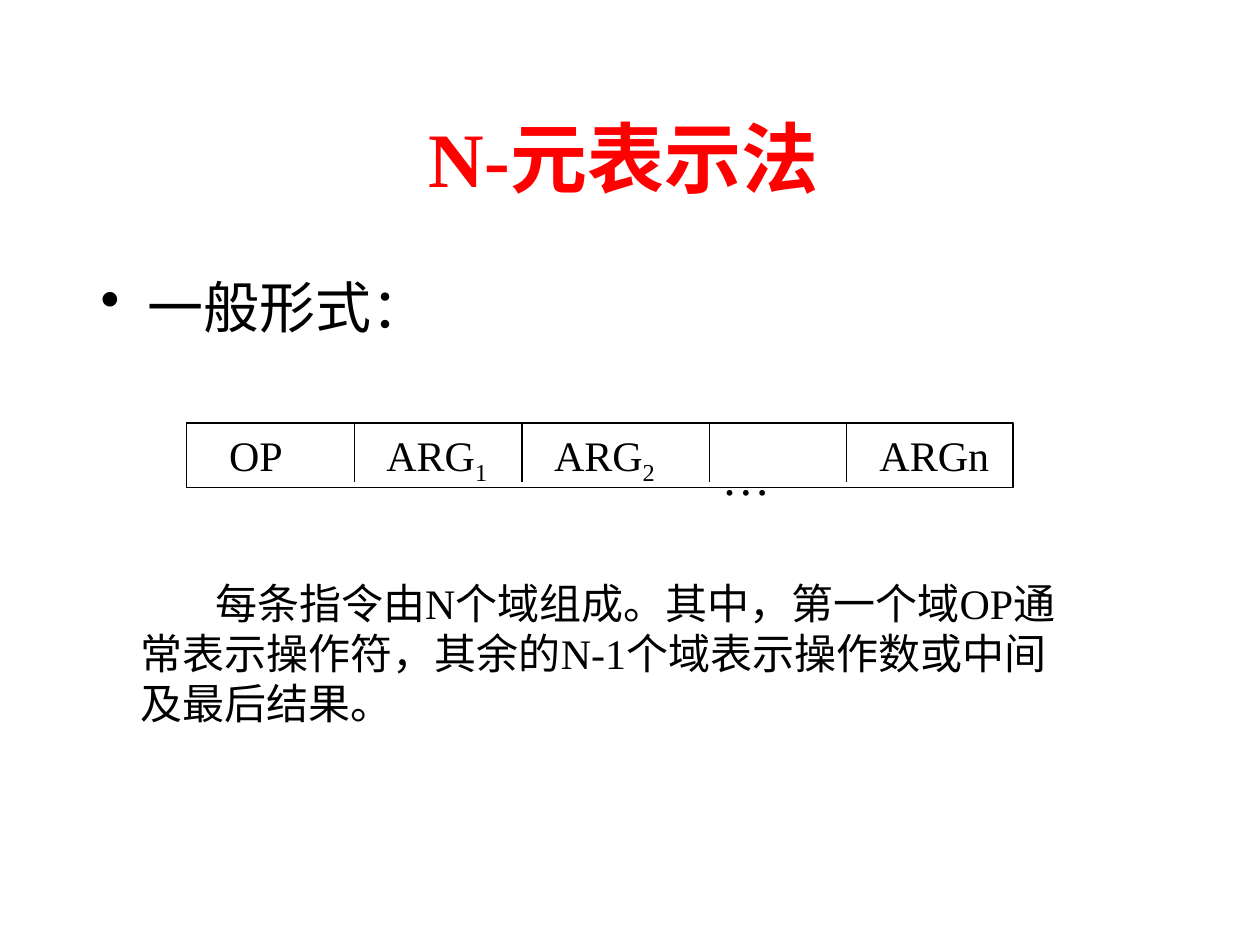
from pptx import Presentation
from pptx.dml.color import RGBColor
from pptx.enum.shapes import MSO_CONNECTOR, MSO_SHAPE
from pptx.enum.text import MSO_ANCHOR, PP_ALIGN
from pptx.oxml.ns import qn
from pptx.util import Cm, Pt
from lxml import etree

STRAIGHT = MSO_CONNECTOR.STRAIGHT
RECTANGLE = MSO_SHAPE.RECTANGLE
TOP, MIDDLE = MSO_ANCHOR.TOP, MSO_ANCHOR.MIDDLE
LEFT, CENTER = PP_ALIGN.LEFT, PP_ALIGN.CENTER
FONT = "Times New Roman"
COLORS = {"title": "FF0000", "ink": "000000"}
ROW_TOP = 8.53
DIVIDERS = [7.14, 10.52, 14.3, 17.07]
FIELDS = [("OP", "", 4.37), ("ARG", "1", 7.54), ("ARG", "2", 10.92), ("ARGn", "", 17.48)]


def add_text(page, text, left, top, width, height, size=24,
             color="ink", bold=False, align=LEFT, anchor=TOP):
    """Add a wrapped text box and return its paragraph."""
    box = page.shapes.add_textbox(Cm(left), Cm(top), Cm(width), Cm(height))
    frame = box.text_frame
    frame.word_wrap = True
    frame.vertical_anchor = anchor
    frame.text = text
    para = frame.paragraphs[0]
    para.alignment = align
    for span in para.runs:
        style_span(span, size, color, bold)
    return para


def style_span(span, size, color="ink", bold=False):
    """Set the font of a run."""
    span.font.name = FONT
    span.font.size = Pt(size)
    span.font.bold = bold
    span.font.color.rgb = RGBColor.from_string(COLORS[color])


def lower(span):
    """Turn a run into a subscript."""
    span.font._element.set("baseline", "-25000")


def set_indent(para, margin, indent):
    """Set the left margin and first-line indent of a paragraph."""
    properties = para._p.get_or_add_pPr()
    properties.set("marL", str(Cm(margin)))
    properties.set("indent", str(Cm(indent)))
    return properties


def add_bullet(para):
    """Give a paragraph a hanging round bullet."""
    properties = set_indent(para, 0.95, -0.95)
    etree.SubElement(properties, qn("a:buChar")).set("char", "•")


def add_field(page, name, index, left):
    """Add a field name with an optional subscript index."""
    para = add_text(page, name, left, ROW_TOP, 2.97, 1.27)
    if index:
        span = para.add_run()
        span.text = index
        style_span(span, 24)
        lower(span)


def add_frame(page):
    """Add the outline of the instruction row."""
    frame = page.shapes.add_shape(RECTANGLE, Cm(3.76), Cm(ROW_TOP), Cm(16.66), Cm(1.3))
    frame.shadow.inherit = False
    frame.fill.background()
    style_line(frame.line)


def style_line(line):
    """Make a line thin and black."""
    line.color.rgb = RGBColor.from_string(COLORS["ink"])
    line.width = Pt(0.75)


def add_divider(page, x):
    """Add a vertical line between two fields."""
    divider = page.shapes.add_connector(STRAIGHT, Cm(x), Cm(ROW_TOP), Cm(x), Cm(ROW_TOP + 1.19))
    style_line(divider.line)
    etree.SubElement(divider._element.spPr, qn("a:effectLst"))


def main():
    """Build the slide and save it."""
    deck = Presentation()
    deck.slide_width, deck.slide_height = Cm(25.4), Cm(19.05)
    page = deck.slides.add_slide(deck.slide_layouts[6])

    add_text(page, "N-元表示法", 1.78, 1.57, 21.59, 3.18, size=44,
             color="title", bold=True, align=CENTER, anchor=MIDDLE)
    add_bullet(add_text(page, "一般形式：", 1.78, 5.36, 21.59, 11.43, size=32))

    add_frame(page)
    for name, index, left in FIELDS:
        add_field(page, name, index, left)
    ellipsis = add_text(page, "…", 14.3, 7.75, 2.97, 2.57, size=48)
    lower(ellipsis.runs[0])
    for x in DIVIDERS:
        add_divider(page, x)

    note = add_text(page, "每条指令由N个域组成。其中，第一个域OP通常表示操作符，"
                    "其余的N-1个域表示操作数或中间及最后结果。", 2.59, 11.51, 19.25, 3.3)
    set_indent(note, 0, 1.5)
    deck.save("out.pptx")


if __name__ == "__main__":
    main()
